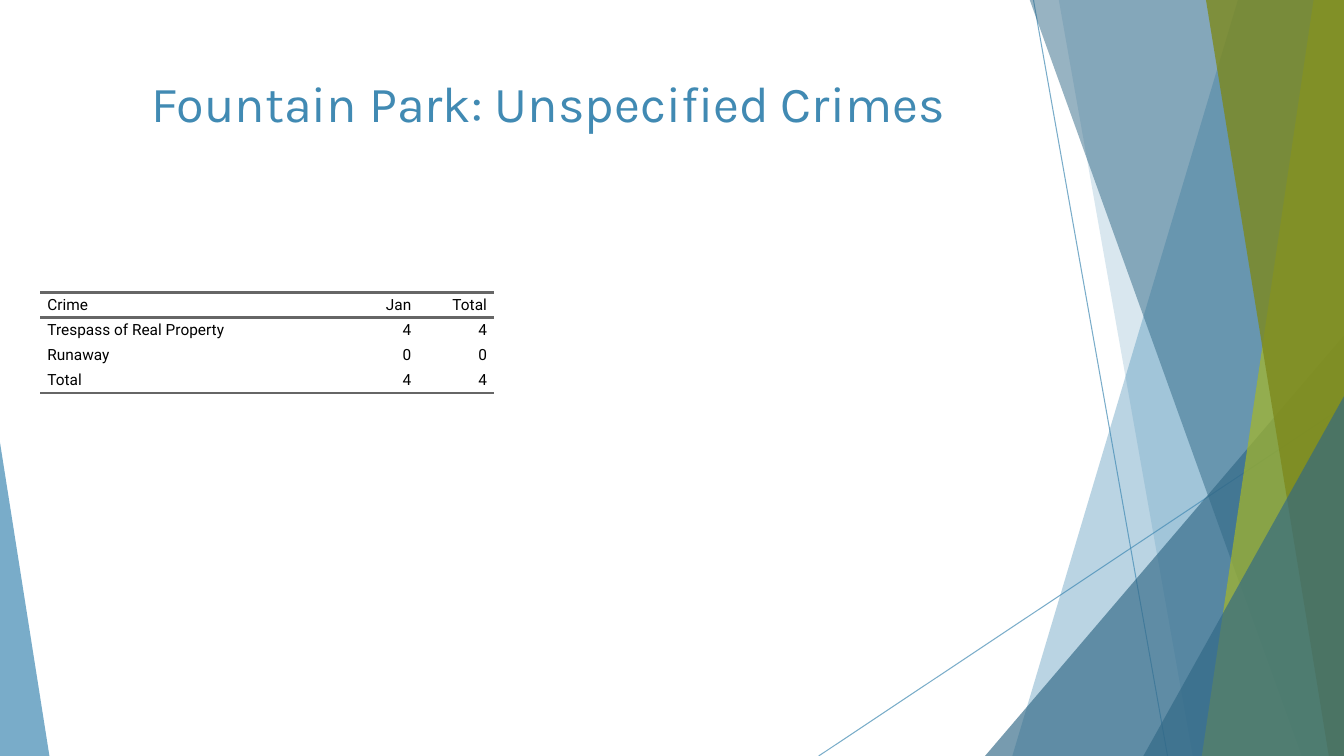
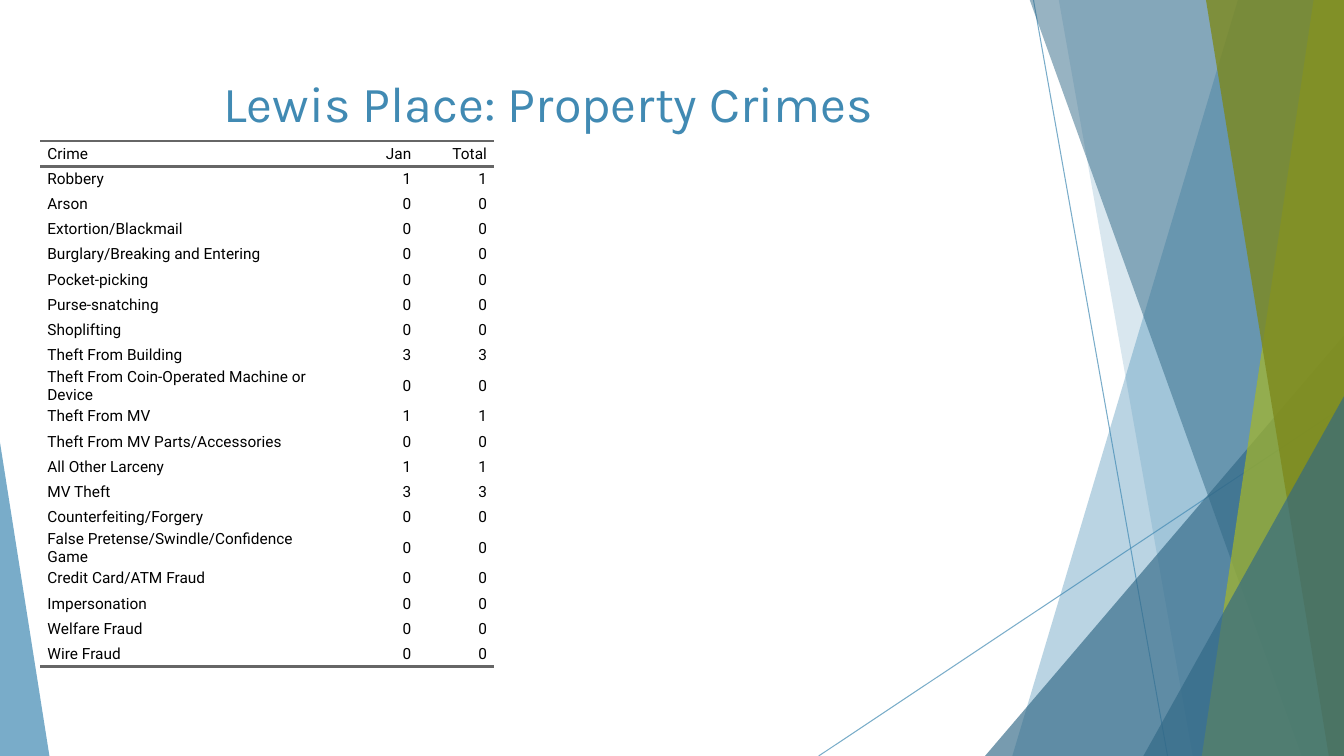
import pptx
import pptx.dml.color
import pptx.enum.shapes
import pptx.enum.text
import pptx.oxml
import pptx.oxml.ns
import pptx.util

PX = 9144
SLIDE_W, SLIDE_H = 1333, 750
COLORS = {
    "blue": "418AB3",
    "navy": "316886",
    "lime": "A6B727",
    "olive": "7D891D",
    "rule": "666666",
    "text": "000000",
}
TITLE_FONT, TABLE_FONT = "Karla", "Roboto"
COLUMN_WIDTHS = (300, 75, 75)
ROW_HEIGHT = 25
TABLE_LEFT = 40
CELL_INDENT = 7
NO_GRID_STYLE = "{2D5ABB26-0587-4C30-8999-92F81FD0307C}"

UNSPECIFIED_CRIMES = [
    ("Trespass of Real Property", 4),
    ("Runaway", 0),
    ("Total", 4),
]
PROPERTY_CRIMES = [
    ("Robbery", 1),
    ("Arson", 0),
    ("Extortion/Blackmail", 0),
    ("Burglary/Breaking and Entering", 0),
    ("Pocket-picking", 0),
    ("Purse-snatching", 0),
    ("Shoplifting", 0),
    ("Theft From Building", 3),
    ("Theft From Coin-Operated Machine or Device", 0),
    ("Theft From MV", 1),
    ("Theft From MV Parts/Accessories", 0),
    ("All Other Larceny", 1),
    ("MV Theft", 3),
    ("Counterfeiting/Forgery", 0),
    ("False Pretense/Swindle/Confidence Game", 0),
    ("Credit Card/ATM Fraud", 0),
    ("Impersonation", 0),
    ("Welfare Fraud", 0),
    ("Wire Fraud", 0),
]


def px(length):
    return pptx.util.Emu(length * PX)


def rgb(name):
    return pptx.dml.color.RGBColor.from_string(COLORS[name])


def set_opacity(shape, percent):
    for color in shape.element.spPr.iter(pptx.oxml.ns.qn("a:srgbClr")):
        alpha = color.makeelement(pptx.oxml.ns.qn("a:alpha"), {"val": str(percent * 1000)})
        color.append(alpha)


def paint(shape, color, opacity):
    shape.fill.solid()
    shape.fill.fore_color.rgb = rgb(color)
    shape.line.fill.background()
    shape.shadow.inherit = False
    set_opacity(shape, opacity)
    return shape


def add_hairline(slide, start, end):
    hairline = slide.shapes.add_connector(
        pptx.enum.shapes.MSO_CONNECTOR.STRAIGHT, *map(px, start + end))
    hairline.line.color.rgb = rgb("blue")
    hairline.line.width = pptx.util.Pt(0.75)
    properties = hairline.element.spPr
    properties.append(properties.makeelement(pptx.oxml.ns.qn("a:effectLst"), {}))
    set_opacity(hairline, 70)
    return hairline


def add_ribbon(slide, top_x, bottom_x, color, opacity):
    outline = slide.shapes.build_freeform(top_x, -1, scale=PX)
    outline.add_line_segments([(SLIDE_W, -1), (SLIDE_W, SLIDE_H), (bottom_x, SLIDE_H)])
    return paint(outline.convert_to_shape(), color, opacity)


def add_corner(slide, left, top, width, apex, color, opacity):
    corner = slide.shapes.add_shape(
        pptx.enum.shapes.MSO_SHAPE.ISOSCELES_TRIANGLE,
        px(left), px(top), px(width), px(SLIDE_H - top))
    corner.adjustments[0] = apex
    return paint(corner, color, opacity)


def move_backdrop_to_layout(slide, layout):
    for placeholder in list(layout.placeholders):
        if placeholder.placeholder_format.idx != 0:
            layout.shapes.element.remove(placeholder.element)
    backdrop = [
        add_hairline(slide, (1025, 0), (1158, SLIDE_H)),
        add_hairline(slide, (SLIDE_W, 403), (812, SLIDE_H)),
        add_ribbon(slide, 1228, 1004, "blue", 36),
        add_ribbon(slide, 1050, 1183, "blue", 20),
        add_corner(slide, 977, 333, 356, 1, "navy", 66),
        add_ribbon(slide, 1021, 1291, "navy", 50),
        add_ribbon(slide, 1303, 1192, "lime", 70),
        add_ribbon(slide, 1196, 1318, "olive", 80),
        add_corner(slide, 1134, 393, 199, 1, "navy", 66),
        add_corner(slide, 0, 439, 49, 0, "blue", 70),
    ]
    for piece in backdrop:
        layout.shapes.element.append(piece.element)


def write(paragraph, text, font, size, color):
    run = paragraph.add_run()
    run.text = text
    run.font.name = font
    run.font.size = pptx.util.Pt(size)
    run.font.color.rgb = rgb(color)


def set_title(slide, text):
    title = slide.shapes.title
    title.left, title.top, title.width, title.height = map(px, (74, 67, 940, 144))
    frame = title.text_frame
    frame.word_wrap = True
    frame.auto_size = pptx.enum.text.MSO_AUTO_SIZE.NONE
    frame.vertical_anchor = pptx.enum.text.MSO_ANCHOR.TOP
    frame.paragraphs[0].alignment = pptx.enum.text.PP_ALIGN.CENTER
    write(frame.paragraphs[0], text, TITLE_FONT, 36, "blue")


def add_rule(cell, side):
    properties = cell._tc.get_or_add_tcPr()
    properties.append(pptx.oxml.parse_xml(
        f'<a:{side} {pptx.oxml.ns.nsdecls("a")} w="{pptx.util.Pt(2)}">'
        f'<a:solidFill><a:srgbClr val="{COLORS["rule"]}"/></a:solidFill>'
        f'<a:prstDash val="solid"/></a:{side}>'))


def fill_cell(cell, text, alignment, rules):
    for side in rules:
        add_rule(cell, side)
    cell.fill.background()
    cell.vertical_anchor = pptx.enum.text.MSO_ANCHOR.MIDDLE
    cell.margin_left = cell.margin_right = cell.margin_top = cell.margin_bottom = 0
    paragraph = cell.text_frame.paragraphs[0]
    paragraph.alignment = alignment
    paragraph.space_before = paragraph.space_after = pptx.util.Pt(5)
    properties = paragraph._p.get_or_add_pPr()
    for name, length in (("marL", CELL_INDENT), ("marR", CELL_INDENT), ("indent", 0)):
        properties.set(name, str(px(length)))
    write(paragraph, text, TABLE_FONT, 11, "text")


def add_crime_table(slide, top, crimes):
    rows = [("Crime", "Jan", "Total")]
    rows += [(crime, str(count), str(count)) for crime, count in crimes]
    table = slide.shapes.add_table(
        len(rows), len(COLUMN_WIDTHS), px(TABLE_LEFT), px(top),
        px(sum(COLUMN_WIDTHS)), px(ROW_HEIGHT * len(rows))).table
    table.first_row = table.horz_banding = False
    table._tbl.tblPr.find(pptx.oxml.ns.qn("a:tableStyleId")).text = NO_GRID_STYLE
    for column, width in zip(table.columns, COLUMN_WIDTHS):
        column.width = px(width)
    align = pptx.enum.text.PP_ALIGN
    rules = {0: ("lnT", "lnB"), len(rows) - 1: ("lnB",)}
    for r, values in enumerate(rows):
        table.rows[r].height = px(ROW_HEIGHT)
        for c, value in enumerate(values):
            fill_cell(table.cell(r, c), value, align.RIGHT if c else align.LEFT,
                      rules.get(r, ()))


def add_crime_slide(deck, layout, title, table_top, crimes):
    slide = deck.slides.add_slide(layout)
    set_title(slide, title)
    add_crime_table(slide, table_top, crimes)
    return slide


def main():
    deck = pptx.Presentation()
    deck.slide_width, deck.slide_height = px(SLIDE_W), px(SLIDE_H)
    layout = deck.slide_layouts.get_by_name("Title Only")
    fountain_park = add_crime_slide(
        deck, layout, "Fountain Park: Unspecified Crimes", 290, UNSPECIFIED_CRIMES)
    move_backdrop_to_layout(fountain_park, layout)
    add_crime_slide(deck, layout, "Lewis Place: Property Crimes", 140, PROPERTY_CRIMES)
    deck.save("out.pptx")


if __name__ == "__main__":
    main()
